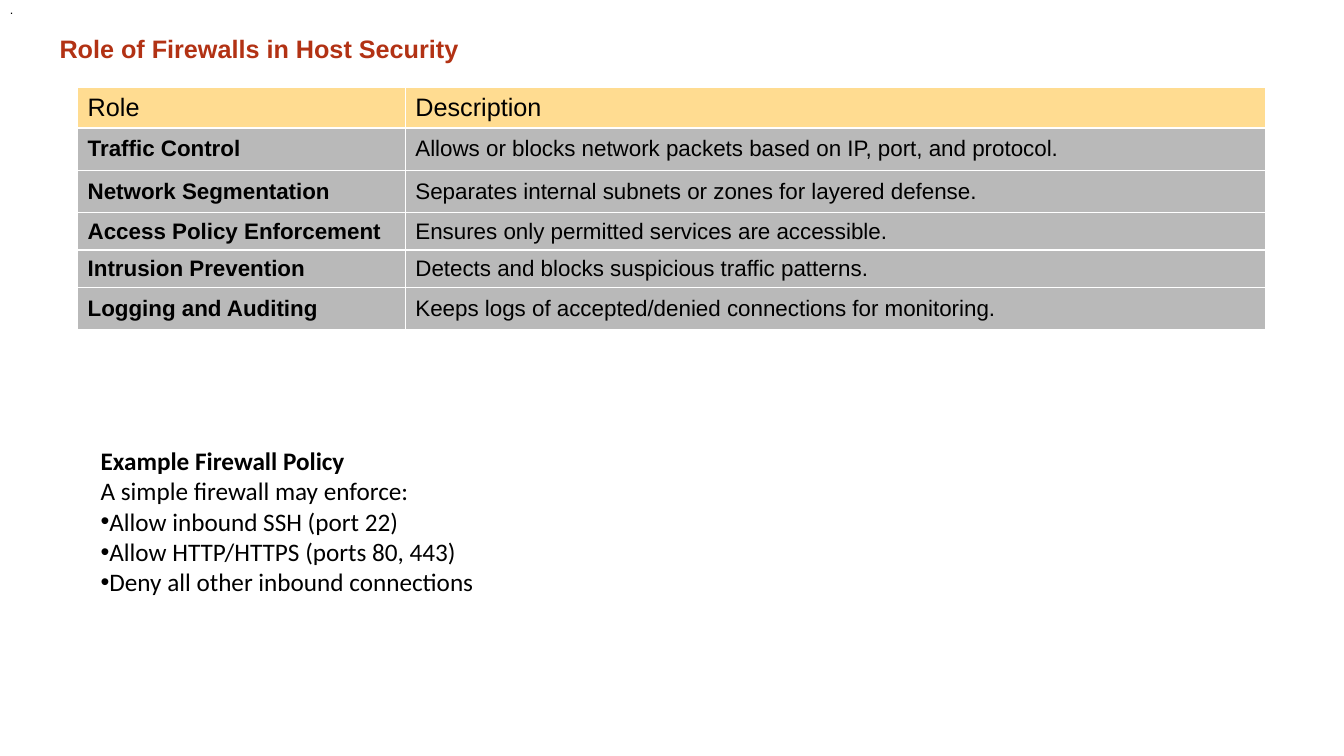
from lxml.etree import SubElement
from pptx import Presentation
from pptx.dml.color import RGBColor
from pptx.enum.text import MSO_ANCHOR, MSO_AUTO_SIZE, PP_ALIGN
from pptx.oxml.ns import qn
from pptx.util import Inches, Pt

TITLE = "Role of Firewalls in Host Security"
DOT = "."
ROLES = [
    ("Role", "Description"),
    ("Traffic Control", "Allows or blocks network packets based on IP, port, and protocol."),
    ("Network Segmentation", "Separates internal subnets or zones for layered defense."),
    ("Access Policy Enforcement", "Ensures only permitted services are accessible."),
    ("Intrusion Prevention", "Detects and blocks suspicious traffic patterns."),
    ("Logging and Auditing", "Keeps logs of accepted/denied connections for monitoring."),
]
WIDTHS = [3.25, 8.53]
HEIGHTS = [0.4, 0.42, 0.42, 0.37, 0.37, 0.42]
HEAD = "Example Firewall Policy"
LEAD = "A simple firewall may enforce:"
RULES = [
    "Allow inbound SSH (port 22)",
    "Allow HTTP/HTTPS (ports 80, 443)",
    "Deny all other inbound connections",
]


def paint(item, color):
    item.rgb = RGBColor.from_string(color)


def style(para, size, bold=False, face="Arial", color="000000"):
    font = para.font
    font.size, font.bold, font.name = Pt(size), bold, face
    paint(font.color, color)


def bullet(para):
    props = para._p.get_or_add_pPr()
    props.set("marL", "0")
    props.set("indent", "0")
    SubElement(props, qn("a:buFont")).set("typeface", "Arial")
    SubElement(props, qn("a:buChar")).set("char", "•")


def add_title(slide):
    title = slide.shapes.title
    title.left, title.top = Inches(0.49), Inches(0.25)
    title.width, title.height = Inches(11.6), Inches(0.5)
    frame = title.text_frame
    frame.text = TITLE
    frame.auto_size = MSO_AUTO_SIZE.NONE
    frame.vertical_anchor = MSO_ANCHOR.TOP
    para = frame.paragraphs[0]
    para.alignment = PP_ALIGN.LEFT
    para.line_spacing = 1.1
    style(para, 18, True, color="B23214")


def add_text(slide, place, lines, wrap=True):
    box = slide.shapes.add_textbox(*map(Inches, place))
    frame = box.text_frame
    frame.word_wrap = wrap
    frame.text = "\n".join(lines)
    return frame.paragraphs


def add_roles(slide):
    place = map(Inches, (0.77, 0.87, sum(WIDTHS), sum(HEIGHTS)))
    table = slide.shapes.add_table(len(ROLES), len(WIDTHS), *place).table
    for col, width in zip(table.columns, WIDTHS):
        col.width = Inches(width)
    for row, (height, texts) in enumerate(zip(HEIGHTS, ROLES)):
        table.rows[row].height = Inches(height)
        for col, text in enumerate(texts):
            cell = table.cell(row, col)
            cell.text = text
            cell.vertical_anchor = MSO_ANCHOR.MIDDLE
            cell.fill.solid()
            paint(cell.fill.fore_color, "B9B9B9" if row else "FFDC91")
            style(cell.text_frame.paragraphs[0], 16 if row else 18, row > 0 and col == 0)


def main():
    deck = Presentation()
    deck.slide_width, deck.slide_height = Inches(13.33), Inches(7.5)
    slide = deck.slides.add_slide(deck.slide_layouts[5])
    add_title(slide)
    style(add_text(slide, (0, -0.03, 0.24, 0.25), [DOT], False)[0], 9)
    add_roles(slide)
    lines = [HEAD, LEAD, *RULES]
    for num, para in enumerate(add_text(slide, (0.9, 4.37, 7.5, 1.62), lines)):
        if lines[num] in RULES:
            bullet(para)
        style(para, 18, num == 0, "Calibri")
    deck.save("out.pptx")


if __name__ == "__main__":
    main()
